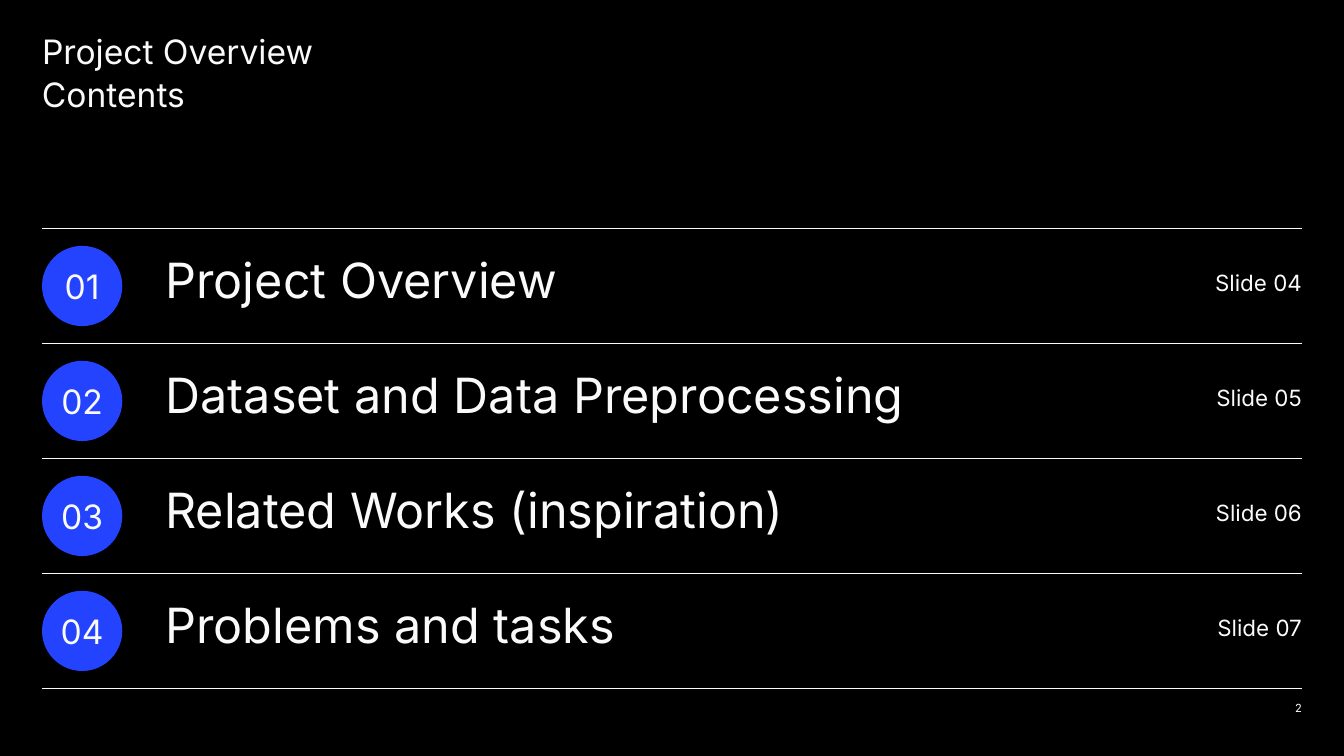
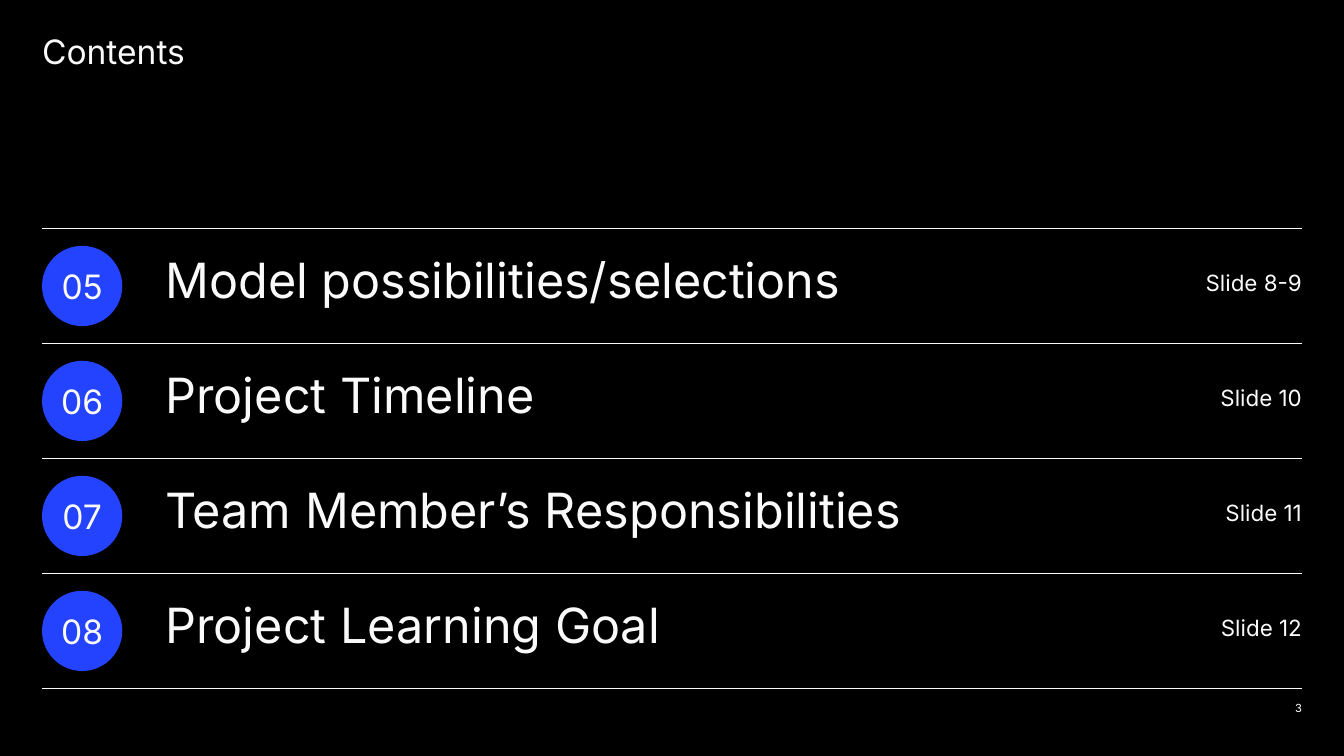
"""Builds the two contents slides of the project presentation."""
from lxml.etree import SubElement
from pptx import Presentation
from pptx.dml.color import RGBColor
from pptx.enum.shapes import MSO_CONNECTOR, MSO_SHAPE
from pptx.enum.text import MSO_ANCHOR, MSO_AUTO_SIZE, PP_ALIGN
from pptx.oxml.ns import qn
from pptx.util import Pt

COLORS = {"background": "000000", "ink": "FAFAFA", "badge": "2443FF"}
FONT = "Inter"
WIDTH, HEIGHT = 720, 405
LEFT, RIGHT = 22.5, 697.5
TOP, ROW = 122.4, 61.6
BADGE = 43
TIGHT = 0.7

CONTENTS = [
    (2, ["Project Overview", "Contents"], [
        ("01", "Project Overview", "Slide 04"),
        ("02", "Dataset and Data Preprocessing", "Slide 05"),
        ("03", "Related Works (inspiration)", "Slide 06"),
        ("04", "Problems and tasks", "Slide 07"),
    ]),
    (3, ["Contents"], [
        ("05", "Model possibilities/selections", "Slide 8-9"),
        ("06", "Project Timeline", "Slide 10"),
        ("07", "Team Member’s Responsibilities", "Slide 11"),
        ("08", "Project Learning Goal", "Slide 12"),
    ]),
]


def color(name):
    """Return a named colour of the deck."""
    return RGBColor.from_string(COLORS[name])


def place(shape, left, top, width, height):
    """Move and size a placeholder."""
    shape.left, shape.top = Pt(left), Pt(top)
    shape.width, shape.height = Pt(width), Pt(height)


def write(shape, text, size, align=PP_ALIGN.LEFT, anchor=MSO_ANCHOR.MIDDLE,
          spacing=None, fit=MSO_AUTO_SIZE.NONE):
    """Write one line of text into a shape without margins."""
    frame = shape.text_frame
    frame.margin_left = frame.margin_right = 0
    frame.margin_top = frame.margin_bottom = 0
    frame.word_wrap = True
    frame.auto_size = fit
    frame.vertical_anchor = anchor
    paragraph = frame.paragraphs[0]
    paragraph.alignment = align
    paragraph.space_before = Pt(0)
    if spacing:
        paragraph.line_spacing = spacing
    run = paragraph.add_run()
    run.text = text
    run.font.name = FONT
    run.font.size = Pt(size)
    run.font.bold = False
    run.font.color.rgb = color("ink")


def add_label(slide, text, size, box, **style):
    """Add a text box with one line of text."""
    label = slide.shapes.add_textbox(*map(Pt, box))
    write(label, text, size, **style)


def add_heading(slide, lines):
    """Fill the title and add any further heading line below it."""
    style = dict(anchor=MSO_ANCHOR.TOP, spacing=TIGHT,
                 fit=MSO_AUTO_SIZE.SHAPE_TO_FIT_TEXT)
    box = (LEFT, 22.5, 332.5, 15)
    title = slide.shapes.title
    place(title, *box)
    write(title, lines[0], 18, **style)
    for line in lines[1:]:
        add_label(slide, line, 18, (LEFT, 45.5, 332.5, 15), **style)


def add_rule(slide, y):
    """Draw a thin rule across the slide."""
    rule = slide.shapes.add_connector(
        MSO_CONNECTOR.STRAIGHT, Pt(LEFT), Pt(y), Pt(RIGHT), Pt(y))
    rule.line.color.rgb = color("ink")
    rule.line.width = Pt(0.75)
    SubElement(rule._element.spPr, qn("a:effectLst"))


def add_badge(slide, number, row_top):
    """Draw a numbered circle centred in its row."""
    badge = slide.shapes.add_shape(
        MSO_SHAPE.OVAL, Pt(LEFT), Pt(row_top + (ROW - BADGE) / 2),
        Pt(BADGE), Pt(BADGE))
    badge.shadow.inherit = False
    badge.fill.solid()
    badge.fill.fore_color.rgb = color("badge")
    badge.line.fill.background()
    write(badge, number, 18, align=PP_ALIGN.CENTER)


def fill_topic(topic, text, row_top):
    """Set a body placeholder as an unbulleted topic."""
    place(topic, 88.6, row_top, 437.8, ROW)
    properties = topic.text_frame.paragraphs[0]._p.get_or_add_pPr()
    properties.set("marL", "0")
    properties.set("indent", "0")
    SubElement(properties, qn("a:buNone"))
    write(topic, text, 26, spacing=TIGHT)


def add_contents_slide(deck, page, heading, entries):
    """Add a slide that lists four topics and their slide numbers."""
    slide = deck.slides.add_slide(deck.slide_layouts.get_by_name("Comparison"))
    slide.background.fill.solid()
    slide.background.fill.fore_color.rgb = color("background")
    add_heading(slide, heading)
    topics = list(slide.placeholders)[1:]
    for row, (topic, (number, text, target)) in enumerate(zip(topics, entries)):
        row_top = TOP + row * ROW
        add_rule(slide, row_top)
        add_badge(slide, number, row_top)
        fill_topic(topic, text, row_top)
        add_label(slide, target, 12, (RIGHT - 162, row_top, 162, ROW),
                  align=PP_ALIGN.RIGHT, spacing=TIGHT)
    add_rule(slide, TOP + len(entries) * ROW)
    add_label(slide, str(page), 6, (RIGHT - 43, 376.5, 43, 6),
              align=PP_ALIGN.RIGHT)


def main():
    """Build and save the deck."""
    deck = Presentation()
    deck.slide_width, deck.slide_height = Pt(WIDTH), Pt(HEIGHT)
    for page, heading, entries in CONTENTS:
        add_contents_slide(deck, page, heading, entries)
    deck.save("out.pptx")


if __name__ == "__main__":
    main()
